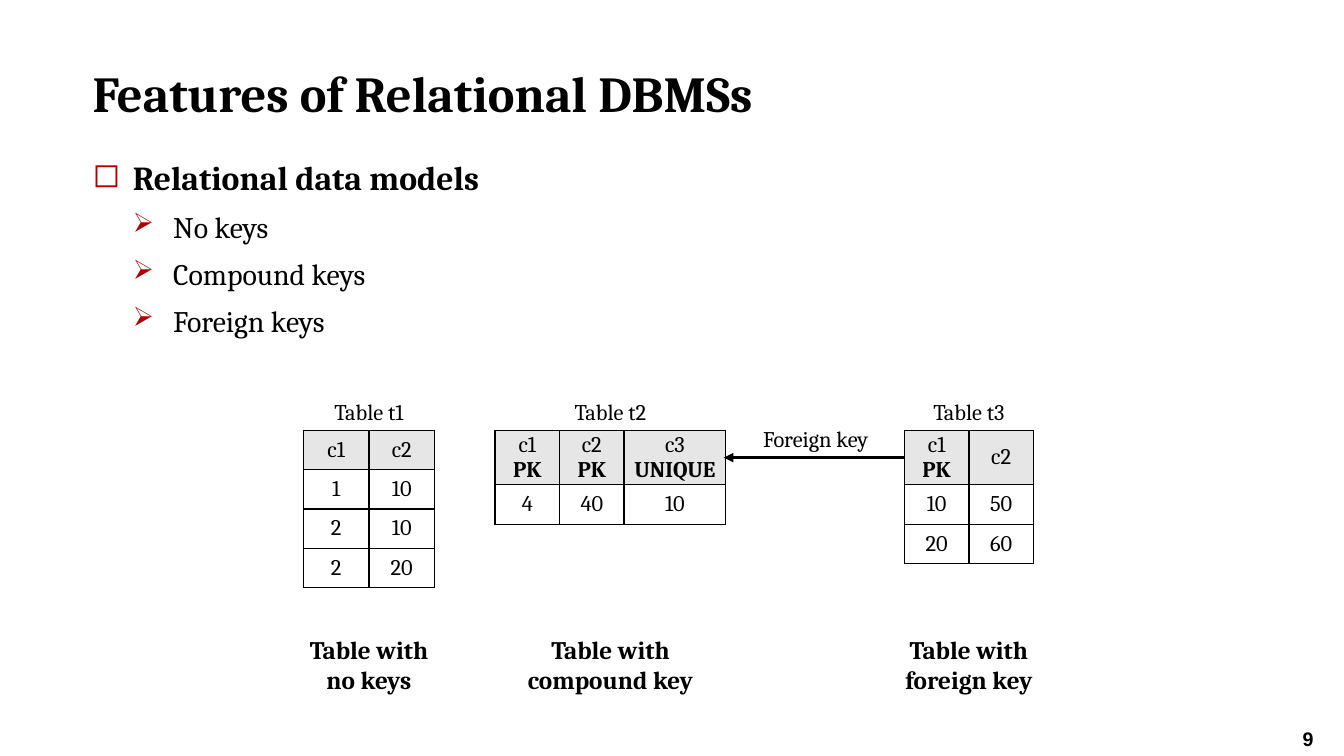
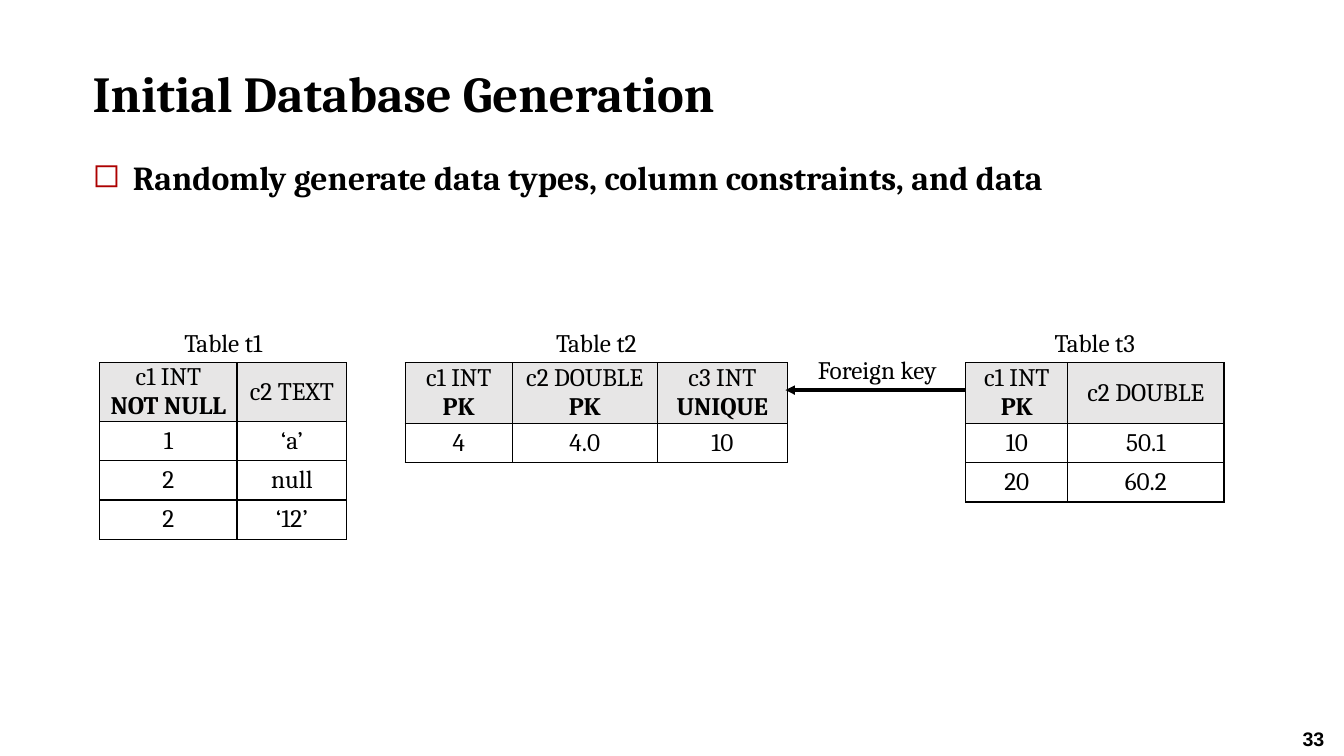
from lxml import etree
from pptx import Presentation
from pptx.dml.color import RGBColor
from pptx.enum.shapes import MSO_CONNECTOR
from pptx.enum.text import MSO_ANCHOR, PP_ALIGN
from pptx.oxml import parse_xml
from pptx.oxml.ns import nsdecls, qn
from pptx.util import Inches, Pt

LEFT, CENTER = PP_ALIGN.LEFT, PP_ALIGN.CENTER
TOP, MIDDLE, BOTTOM = MSO_ANCHOR.TOP, MSO_ANCHOR.MIDDLE, MSO_ANCHOR.BOTTOM
STRAIGHT = MSO_CONNECTOR.STRAIGHT
SERIF, SANS = "Cambria", "Arial"
BLACK, RED, GRAY = "000000", "AD0101", "E7E6E6"
ROW = 0.39
MARKS = [("◻", 100, 24, 16), ("➢", 90, 21.3, 8)]


def color(code):
    return RGBColor.from_string(code)


def write(frame, lines, size, bold=False, align=CENTER, face=SERIF):
    frame.word_wrap = True
    for i, line in enumerate(lines):
        para = frame.paragraphs[0] if i == 0 else frame.add_paragraph()
        para.text = line
        para.alignment = align
        para.font.name = face
        para.font.size = Pt(size)
        para.font.bold = bold
        para.font.color.rgb = color(BLACK)


SLIDES = [
    {
        "title": "Features of Relational DBMSs",
        "page": "9",
        "points": [
            ("Relational data models", 0),
            ("No keys", 1),
            ("Compound keys", 1),
            ("Foreign keys", 1),
        ],
        "top": 4.27, "size": 16, "label": 0.37,
        "tables": [
            (3.01, 0.39, [0.65, 0.65],
             [["c1", "c2"], ["1", "10"], ["2", "10"], ["2", "20"]]),
            (4.91, 0.54, [0.64, 0.64, 1.01],
             [["c1\nPK", "c2\nPK", "c3\nUNIQUE"], ["4", "40", "10"]]),
            (8.97, 0.54, [0.64, 0.64],
             [["c1\nPK", "c2"], ["10", "50"], ["20", "60"]]),
        ],
        "notes": ["no keys", "compound key", "foreign key"],
    },
    {
        "title": "Initial Database Generation",
        "page": "33",
        "points": [
            ("Randomly generate data types, column constraints, and data", 0),
        ],
        "top": 3.6, "size": 18, "label": 0.4,
        "tables": [
            (0.99, 0.58, [1.36, 1.09],
             [["c1 INT\nNOT NULL", "c2 TEXT"], ["1", "‘a’"],
              ["2", "null"], ["2", "‘12’"]]),
            (4.02, 0.6, [1.06, 1.44, 1.29],
             [["c1 INT\nPK", "c2 DOUBLE\nPK", "c3 INT\nUNIQUE"],
              ["4", "4.0", "10"]]),
            (9.58, 0.6, [1.01, 1.55],
             [["c1 INT\nPK", "c2 DOUBLE"], ["10", "50.1"], ["20", "60.2"]]),
        ],
        "notes": [],
    },
]

deck = Presentation()
deck.slide_width = Inches(13.33)
deck.slide_height = Inches(7.5)

for data in SLIDES:
    slide = deck.slides.add_slide(deck.slide_layouts[6])
    shapes = slide.shapes
    top, size, label = data["top"], data["size"], data["label"]
    points = data["points"]
    boxes = [
        (12.82, 7.16, 0.48, 0.34, [data["page"]], 14, True, LEFT, SANS, TOP),
        (0.82, 1.51, 11.84, 0.5 + 0.47 * (len(points) - 1),
         [text for text, level in points], 24, True, LEFT, SERIF, TOP),
        (0.82, 0.34, 11.84, 0.93, [data["title"]], 36, True, LEFT, SERIF, BOTTOM),
    ]

    for i, (left, head, cols, rows) in enumerate(data["tables"]):
        width = sum(cols)
        height = head + ROW * (len(rows) - 1)
        grid = shapes.add_table(len(rows), len(cols), Inches(left), Inches(top),
                                Inches(width), Inches(height)).table
        for col, wide in zip(grid.columns, cols):
            col.width = Inches(wide)
        for r, row in enumerate(rows):
            grid.rows[r].height = Inches(ROW if r else head)
            for c, text in enumerate(row):
                cell = grid.cell(r, c)
                cell.vertical_anchor = MIDDLE
                cell.margin_left = cell.margin_right = Inches(0.09)
                cell.margin_top = cell.margin_bottom = 0
                write(cell.text_frame, text.split("\n"), size)
                for para in cell.text_frame.paragraphs[1:]:
                    para.font.bold = True
                props = cell._tc.get_or_add_tcPr()
                for side in "LRTB":
                    props.append(parse_xml(
                        f'<a:ln{side} {nsdecls("a")} w="12700"><a:solidFill>'
                        f'<a:srgbClr val="{BLACK}"/></a:solidFill></a:ln{side}>'))
                if r:
                    cell.fill.background()
                else:
                    cell.fill.solid()
                    cell.fill.fore_color.rgb = color(GRAY)
        mid = left + width / 2
        boxes.append((mid - 0.8, top - label, 1.6, label, [f"Table t{i + 1}"],
                      size, False, CENTER, SERIF, TOP))
        if data["notes"]:
            boxes.append((mid - 1, 6.24, 2, 0.71, ["Table with", data["notes"][i]],
                          18, True, CENTER, SERIF, TOP))

    start, level = data["tables"][-1][0], top + 0.27
    arrow = shapes.add_connector(STRAIGHT, Inches(start), Inches(level),
                                 Inches(start - 1.79), Inches(level))
    arrow.line.color.rgb = color(BLACK)
    arrow.line.width = Pt(2.25)
    etree.SubElement(arrow.line._get_or_add_ln(), qn("a:tailEnd"), type="triangle")
    etree.SubElement(arrow._element.spPr, qn("a:effectLst"))
    boxes.append((start - 1.68, level - label, 1.6, label, ["Foreign key"],
                  size, False, CENTER, SERIF, TOP))

    frames = []
    for left, y, width, height, lines, points_size, bold, align, face, anchor in boxes:
        frame = shapes.add_textbox(Inches(left), Inches(y),
                                   Inches(width), Inches(height)).text_frame
        frame.vertical_anchor = anchor
        write(frame, lines, points_size, bold, align, face)
        frames.append(frame)

    page, body, title = frames[:3]
    title.paragraphs[0].line_spacing = Pt(46.7)
    for para, (text, depth) in zip(body.paragraphs, points):
        mark, scale, height, gap = MARKS[depth]
        para.level = depth
        para.space_before = Pt(gap)
        para.font.size = Pt(height)
        para.font.bold = depth == 0
        props = para._p.get_or_add_pPr()
        props.set("marL", str(Inches(0.4 * (depth + 1))))
        props.set("indent", str(Inches(-0.4)))
        for part in (
            f'<a:buClr {nsdecls("a")}><a:srgbClr val="{RED}"/></a:buClr>',
            f'<a:buSzPct {nsdecls("a")} val="{scale * 1000}"/>',
            f'<a:buChar {nsdecls("a")} char="{mark}"/>',
        ):
            props[-1].addprevious(parse_xml(part))

deck.save("out.pptx")
